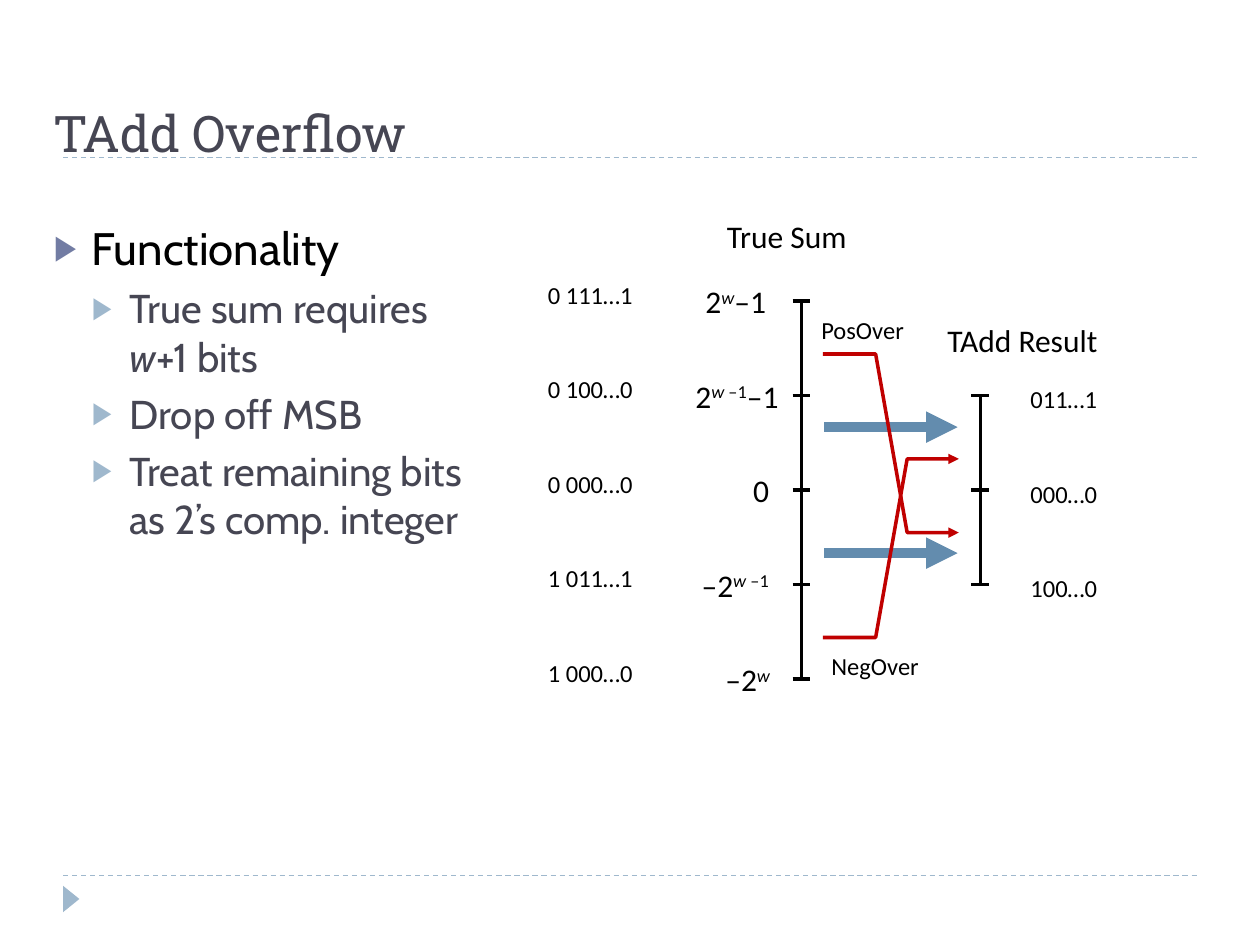
import pptx
import pptx.dml.color
import pptx.enum.dml
import pptx.enum.shapes
import pptx.enum.text
import pptx.oxml
import pptx.oxml.ns
import pptx.util
from lxml import etree

RGBColor = pptx.dml.color.RGBColor
Inches = pptx.util.Inches
Align = pptx.enum.text.PP_ALIGN

BLACK = RGBColor(0x00, 0x00, 0x00)
SLATE = RGBColor(0x46, 0x46, 0x53)
VIOLET = RGBColor(0x72, 0x7C, 0xA3)
PALE_BLUE = RGBColor(0x9F, 0xB8, 0xCD)
STEEL_BLUE = RGBColor(0x63, 0x8C, 0xAE)
RED = RGBColor(0xC0, 0x00, 0x00)

ROW_TOP, ROW_HEIGHT = 2.39, 0.75
SUM_AXIS, RESULT_AXIS = 6.36, 7.78
TICK_HALF = 0.07

LABEL = {"name": "Calibri", "size": 18, "color": BLACK}
SMALL = {**LABEL, "size": 14}
HEADING = {"name": "Roboto Slab", "size": 28.8, "color": SLATE}
TOPIC = {"name": "Cabin", "size": 26, "color": BLACK}
DETAIL = {"name": "Cabin", "size": 23, "color": SLATE}
ITALIC = {"italic": True}
POWER = {"baseline": 30000}
ITALIC_POWER = {**ITALIC, **POWER}


def row(number):
    """Height on the slide, in inches, of a row of the number scale."""
    return ROW_TOP + ROW_HEIGHT * number


def add_effect_free_end(shape, arrow):
    properties = shape._element.spPr
    if arrow:
        line = shape.line._get_or_add_ln()
        etree.SubElement(line, pptx.oxml.ns.qn("a:tailEnd"), type="triangle")
    if properties.find(pptx.oxml.ns.qn("a:effectLst")) is None:
        etree.SubElement(properties, pptx.oxml.ns.qn("a:effectLst"))


def add_line(slide, start, end, color=BLACK, width=2, dash=None, arrow=False):
    connector = slide.shapes.add_connector(
        pptx.enum.shapes.MSO_CONNECTOR.STRAIGHT, *map(Inches, (*start, *end)))
    connector.line.color.rgb = color
    connector.line.width = pptx.util.Pt(width)
    if dash:
        connector.line.dash_style = dash
    add_effect_free_end(connector, arrow)


def add_overflow_path(slide, start_row, end_row):
    """Red arrow that crosses from one row of the sum to another of the result."""
    points = [(Inches(x), Inches(row(number))) for x, number in (
        (6.53, start_row), (6.95, start_row), (7.2, end_row), (7.61, end_row))]
    builder = slide.shapes.build_freeform(*points[0])
    builder.add_line_segments(points[1:], close=False)
    shape = builder.convert_to_shape()
    shape.fill.background()
    shape.line.color.rgb = RED
    shape.line.width = pptx.util.Pt(2)
    shape.shadow.inherit = False
    add_effect_free_end(shape, True)


def add_scale(slide, x, first, last):
    add_line(slide, (x, row(first)), (x, row(last)))
    for number in range(first, last + 1):
        y = row(number)
        add_line(slide, (x - TICK_HALF, y), (x + TICK_HALF, y))


def add_runs(paragraph, runs, base):
    for text, changes in runs:
        values = {**base, **changes}
        run = paragraph.add_run()
        run.text = text
        run.font.color.rgb = values.pop("color")
        run.font.size = pptx.util.Pt(values.pop("size"))
        baseline = values.pop("baseline", None)
        if baseline:
            run._r.get_or_add_rPr().set("baseline", str(baseline))
        for name, value in values.items():
            setattr(run.font, name, value)


def add_frame(slide, box, **settings):
    frame = slide.shapes.add_textbox(*map(Inches, box)).text_frame
    for name, value in settings.items():
        setattr(frame, name, value)
    return frame


def add_label(slide, box, runs, base=LABEL, align=Align.LEFT):
    frame = add_frame(slide, box, word_wrap=False,
                      auto_size=pptx.enum.text.MSO_AUTO_SIZE.SHAPE_TO_FIT_TEXT)
    frame.paragraphs[0].alignment = align
    add_runs(frame.paragraphs[0], [(runs, {})] if isinstance(runs, str) else runs, base)


def add_bullet(paragraph, level, color):
    properties = paragraph._p.get_or_add_pPr()
    properties.set("marL", str(Inches(0.3 * (level + 1))))
    properties.set("indent", str(-Inches(0.3)))
    for tag, attributes in (("buSzPct", {"val": "76000"}), ("buFont", {"typeface": "Arial"}),
                            ("buChar", {"char": "▶"})):
        if tag == "buSzPct":
            holder = etree.SubElement(properties, pptx.oxml.ns.qn("a:buClr"))
            etree.SubElement(holder, pptx.oxml.ns.qn("a:srgbClr"), val=str(color))
        etree.SubElement(properties, pptx.oxml.ns.qn("a:" + tag), **attributes)


def add_functionality_list(slide):
    items = (
        (0, [("Functionality", {})]),
        (1, [("True sum requires ", {}), ("w", ITALIC), ("+1 bits", {})]),
        (1, [("Drop off MSB", {})]),
        (1, [("Treat remaining bits as 2’s comp. integer", {})]),
    )
    styles = ((TOPIC, VIOLET, 6), (DETAIL, PALE_BLUE, 5))
    frame = add_frame(slide, (0.33, 1.7, 3.62, 5.71), word_wrap=True)
    for index, (level, runs) in enumerate(items):
        base, bullet_color, space = styles[level]
        paragraph = frame.add_paragraph() if index else frame.paragraphs[0]
        paragraph.level = level
        paragraph.space_before = pptx.util.Pt(space)
        add_bullet(paragraph, level, bullet_color)
        add_runs(paragraph, runs, base)


def add_page_frame(slide):
    for y in (6.95, 1.25):
        add_line(slide, (0.5, y), (9.5, y), PALE_BLUE, 0.75,
                 pptx.enum.dml.MSO_LINE.DASH)
    marker = slide.shapes.add_shape(
        pptx.enum.shapes.MSO_SHAPE.ISOSCELES_TRIANGLE,
        *map(Inches, (0.46, 7.07, 0.21, 0.13)))
    marker.rotation = 90
    marker.fill.solid()
    marker.fill.fore_color.rgb = PALE_BLUE
    marker.line.fill.background()
    marker.shadow.inherit = False
    title = add_frame(slide, (0.33, 0.73, 7.39, 0.61), word_wrap=True,
                      vertical_anchor=pptx.enum.text.MSO_ANCHOR.BOTTOM)
    add_runs(title.paragraphs[0], [("TAdd Overflow", {})], HEADING)


def add_scale_labels(slide):
    sums = (
        (5.5, 0.7, Align.LEFT, [("2", {}), ("w", ITALIC_POWER), ("–1", {})]),
        (5.42, 1.03, Align.LEFT,
         [("2", {}), ("w ", ITALIC_POWER), ("–1", POWER), ("–1", {})]),
        (5.88, 0.33, Align.LEFT, "0"),
        (5.42, 0.78, Align.RIGHT, [("–2", {}), ("w ", ITALIC_POWER), ("–1", POWER)]),
        (5.63, 0.58, Align.RIGHT, [("–2", {}), ("w", ITALIC_POWER)]),
    )
    for number, (x, width, align, runs) in enumerate(sums):
        add_label(slide, (x, row(number) - 0.2, width, 0.4), runs, align=align)
    for number, bits in enumerate(("0 111…1", "0 100…0", "0 000…0", "1 011…1", "1 000…0")):
        add_label(slide, (4.25, row(number) - 0.22, 0.88, 0.33), bits, SMALL)
    for number, bits in enumerate(("011…1", "000…0", "100…0"), start=1):
        add_label(slide, (8.08, row(number) - 0.14, 0.73, 0.33), bits, SMALL)


def main():
    presentation = pptx.Presentation()
    presentation.slide_width, presentation.slide_height = Inches(10), Inches(7.5)
    slide = presentation.slides.add_slide(presentation.slide_layouts[6])
    add_page_frame(slide)
    add_functionality_list(slide)
    add_scale(slide, SUM_AXIS, 0, 4)
    add_scale(slide, RESULT_AXIS, 1, 3)
    for y in (3.39, 4.39):
        add_line(slide, (6.54, y), (7.6, y), STEEL_BLUE, 6, arrow=True)
    add_overflow_path(slide, 0.56, 2.45)
    add_overflow_path(slide, 3.56, 1.67)
    add_scale_labels(slide)
    add_label(slide, (5.67, 1.67, 1.51, 0.5), "True Sum")
    add_label(slide, (7.42, 2.5, 1.85, 0.5), "TAdd Result")
    add_label(slide, (6.42, 2.45, 0.86, 0.34), "PosOver", SMALL)
    add_label(slide, (6.5, 5.12, 0.9, 0.34), "NegOver", SMALL)
    presentation.save("out.pptx")


if __name__ == "__main__":
    main()
